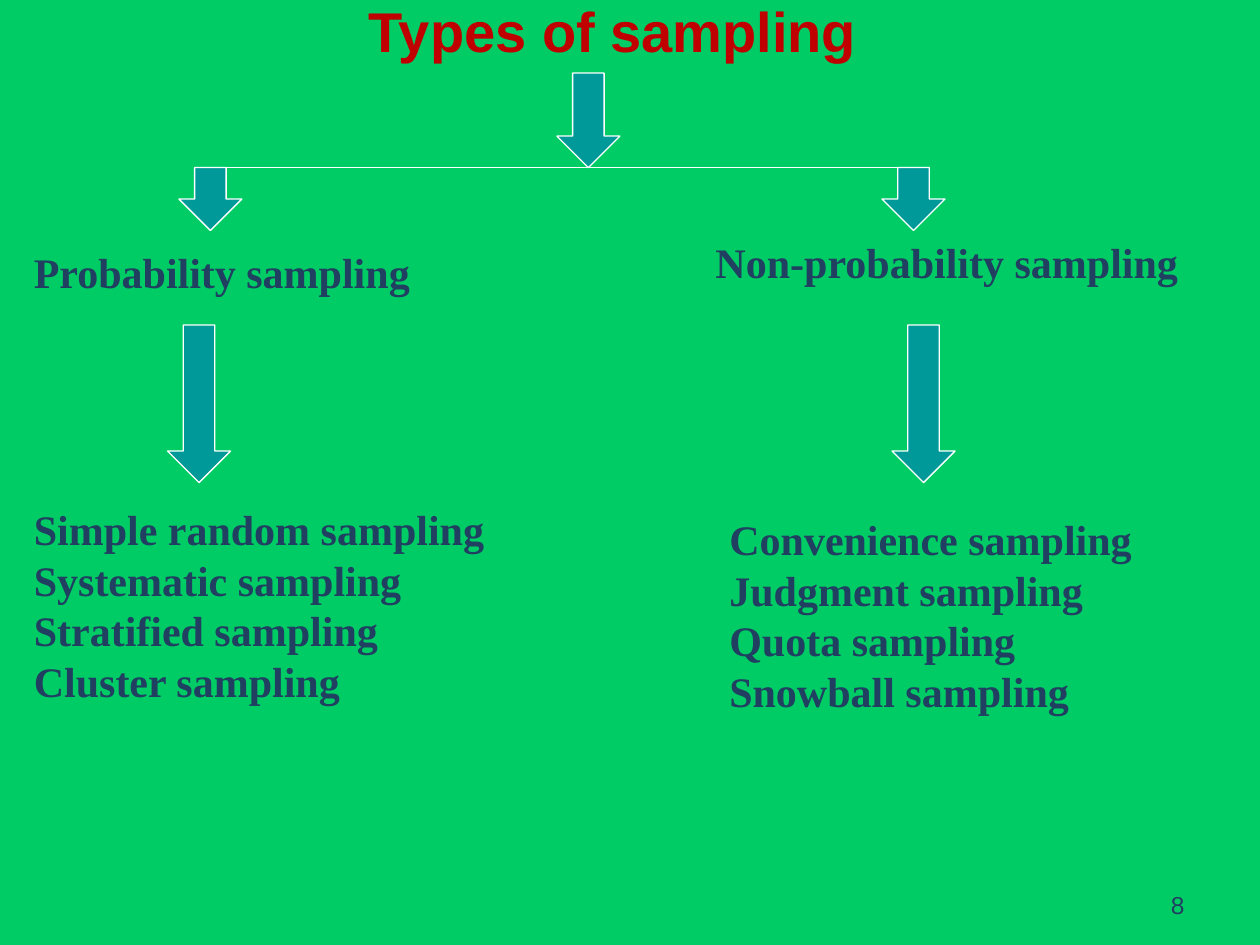
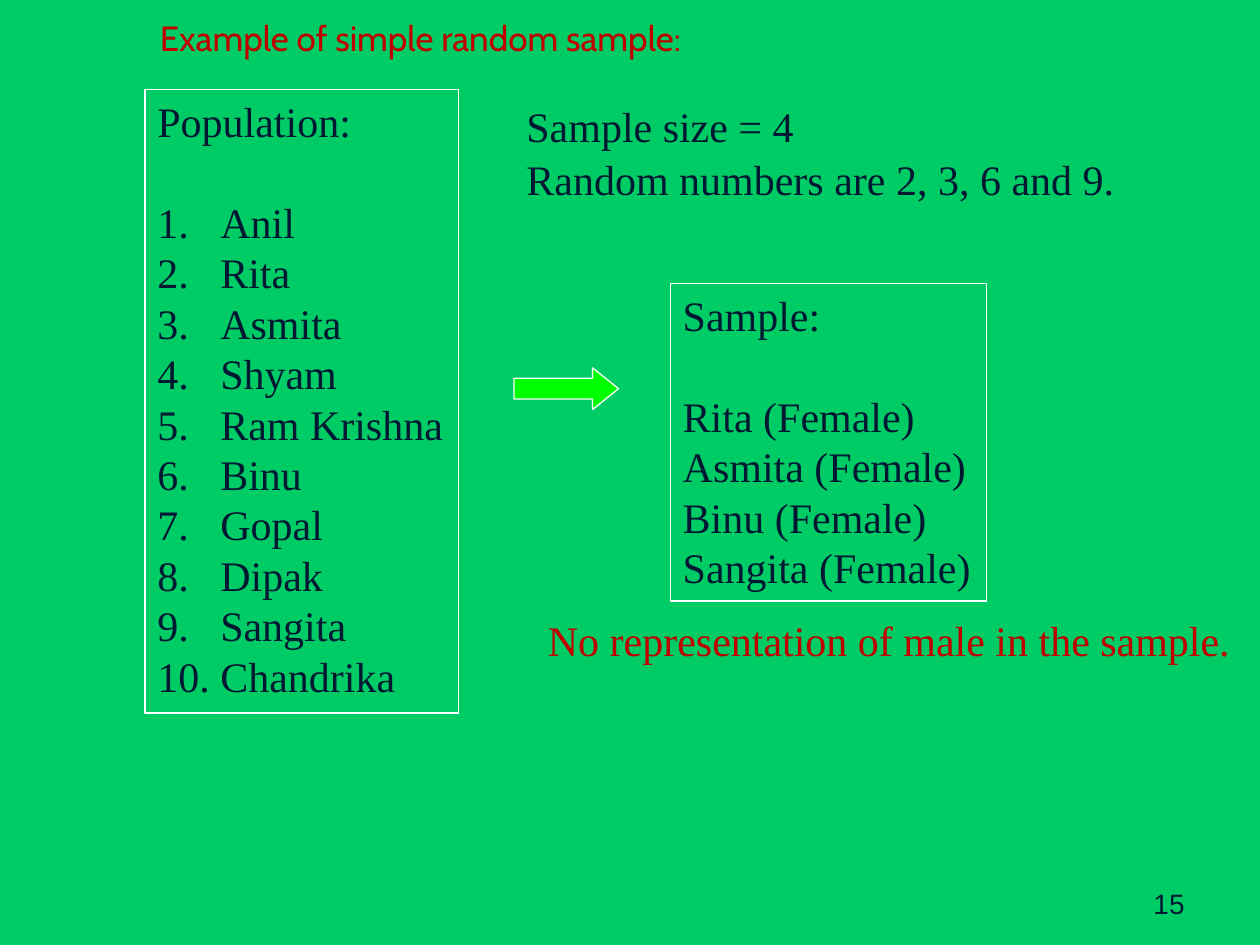
from dataclasses import dataclass

from lxml import etree
from pptx import Presentation
from pptx.dml.color import RGBColor
from pptx.enum.shapes import MSO_CONNECTOR, MSO_SHAPE
from pptx.enum.text import MSO_ANCHOR, MSO_AUTO_SIZE, PP_ALIGN
from pptx.oxml.ns import qn
from pptx.util import Inches, Pt

GREEN = RGBColor(0x00, 0xCC, 0x66)
RED = RGBColor(0xC0, 0x00, 0x00)
NAVY = RGBColor(0x20, 0x3F, 0x61)
INK = RGBColor(0x00, 0x19, 0x33)
TEAL = RGBColor(0x00, 0x99, 0x99)
LIME = RGBColor(0x00, 0xFF, 0x00)
WHITE = RGBColor(0xFF, 0xFF, 0xFF)

SANS, SERIF, TITLE_FONT = "Arial", "Times New Roman", "Cabin"
DOWN, RIGHT = MSO_SHAPE.DOWN_ARROW, MSO_SHAPE.RIGHT_ARROW
STRAIGHT = MSO_CONNECTOR.STRAIGHT
BOTTOM, TOP = MSO_ANCHOR.BOTTOM, MSO_ANCHOR.TOP
ALIGN_LEFT, ALIGN_RIGHT = PP_ALIGN.LEFT, PP_ALIGN.RIGHT
GROW, FIXED = MSO_AUTO_SIZE.SHAPE_TO_FIT_TEXT, MSO_AUTO_SIZE.NONE

LINE_WIDTH = Pt(0.75)
LEADING = 1.2
HANG = Inches(0.5)


@dataclass(frozen=True)
class Style:
    color: RGBColor
    size: int = 24
    font: str = SERIF
    bold: bool = False


@dataclass(frozen=True)
class Box:
    left: float
    top: float
    width: float
    height: float

    def lengths(self) -> tuple:
        return tuple(map(Inches, (self.left, self.top, self.width, self.height)))


HEADING = Style(RED, 32, SANS, True)
EXAMPLE_TITLE = Style(RED, 20, TITLE_FONT)
BRANCH = Style(NAVY, bold=True)
BODY = Style(INK)
WARNING = Style(RED)
NUMBER_BOX = Box(7.17, 6.83, 2.33, 0.52)


def new_slide(prs, number: int, number_style: Style):
    s = prs.slides.add_slide(prs.slide_layouts[6])
    s.background.fill.solid()
    s.background.fill.fore_color.rgb = GREEN
    add_text(s, NUMBER_BOX, [str(number)], number_style, wrap=True,
             anchor=BOTTOM, align=ALIGN_RIGHT)
    return s


def add_text(s, box: Box, lines: list[str], style: Style, wrap: bool = False,
             anchor=TOP, align=ALIGN_LEFT):
    """Write one paragraph per line; an unwrapped box grows with its text."""
    sp = s.shapes.add_textbox(*box.lengths())
    tf = sp.text_frame
    tf.word_wrap = wrap
    tf.auto_size = FIXED if wrap else GROW
    tf.vertical_anchor = anchor
    for i, line in enumerate(lines):
        p = tf.add_paragraph() if i else tf.paragraphs[0]
        p.alignment = align
        p.line_spacing = Pt(style.size * LEADING)
        r = p.add_run()
        r.text = line
        r.font.name, r.font.size = style.font, Pt(style.size)
        r.font.bold = style.bold
        r.font.color.rgb = style.color
    return sp


def number_paragraph(p) -> None:
    pPr = p._p.get_or_add_pPr()
    pPr.set("marL", str(HANG))
    pPr.set("indent", str(-HANG))
    etree.SubElement(pPr, qn("a:buFont"), typeface="+mj-lt")
    etree.SubElement(pPr, qn("a:buAutoNum"), type="arabicPeriod")


def add_list_box(s, box: Box, header: str, items: list[str],
                 numbered: bool = False) -> None:
    """Draw an outlined list with a one-line gap below its header."""
    sp = add_text(s, box, [header, *items], BODY, wrap=True)
    sp.line.color.rgb = WHITE
    sp.line.width = LINE_WIDTH
    first, *rest = sp.text_frame.paragraphs
    first.space_after = Pt(BODY.size * LEADING)
    if numbered:
        for p in rest:
            number_paragraph(p)


def add_arrow(s, box: Box, kind=DOWN, color: RGBColor = TEAL):
    sp = s.shapes.add_shape(kind, *box.lengths())
    sp.shadow.inherit = False
    sp.fill.solid()
    sp.fill.fore_color.rgb = color
    sp.line.color.rgb = WHITE
    sp.line.width = LINE_WIDTH
    return sp


def add_rule(s, x1: float, x2: float, y: float) -> None:
    line = s.shapes.add_connector(STRAIGHT, Inches(x1), Inches(y),
                                  Inches(x2), Inches(y))
    line.line.color.rgb = WHITE
    line.line.width = LINE_WIDTH
    etree.SubElement(line._element.spPr, qn("a:effectLst"))


def build_types(prs) -> None:
    s = new_slide(prs, 8, Style(NAVY, 14, SANS))
    add_text(s, Box(2.83, -0.08, 4.1, 0.64), ["Types of sampling"], HEADING)

    branches = [
        (Box(0.17, 1.91, 3.21, 0.67), ["Probability sampling"]),
        (Box(0.17, 3.95, 3.81, 1.72),
         ["Simple random sampling", "Systematic sampling",
          "Stratified sampling", "Cluster sampling"]),
        (Box(5.58, 1.83, 3.91, 0.5), ["Non-probability sampling"]),
        (Box(5.69, 4.03, 3.43, 1.72),
         ["Convenience sampling", "Judgment sampling",
          "Quota sampling", "Snowball sampling"]),
    ]
    for box, lines in branches:
        add_text(s, box, lines, BRANCH)

    add_rule(s, 1.67, 7.25, 1.33)
    arrows = [(1.42, 1.33, 0.5), (7, 1.33, 0.5),
              (1.33, 2.58, 1.25), (7.08, 2.58, 1.25), (4.42, 0.58, 0.75)]
    for left, top, height in arrows:
        add_arrow(s, Box(left, top, 0.5, height))


def build_example(prs) -> None:
    s = new_slide(prs, 15, Style(INK, 16, SANS))
    add_list_box(s, Box(1.15, 0.71, 2.49, 4.95), "Population:",
                 ["Anil", "Rita", "Asmita", "Shyam", "Ram Krishna", "Binu",
                  "Gopal", "Dipak", "Sangita", "Chandrika"], numbered=True)
    add_text(s, Box(4.08, 0.75, 2.34, 0.5), ["Sample size = 4"], BODY)
    add_text(s, Box(4.08, 1.17, 4.91, 0.5),
             ["Random numbers are 2, 3, 6 and 9."], BODY)
    arrow = add_arrow(s, Box(4.08, 2.92, 0.83, 0.33), RIGHT, LIME)
    arrow.adjustments[1] = 0.625
    add_list_box(s, Box(5.32, 2.25, 2.51, 2.52), "Sample:",
                 [f"{name} (Female)"
                  for name in ("Rita", "Asmita", "Binu", "Sangita")])
    add_text(s, Box(4.25, 4.83, 5.66, 0.5),
             ["No representation of male in the sample."], WARNING)
    add_text(s, Box(1.17, 0.08, 4.54, 0.44),
             ["Example of simple random sample:"], EXAMPLE_TITLE)


def main() -> None:
    prs = Presentation()
    prs.slide_width, prs.slide_height = Inches(10), Inches(7.5)
    build_types(prs)
    build_example(prs)
    prs.save("out.pptx")


if __name__ == "__main__":
    main()
